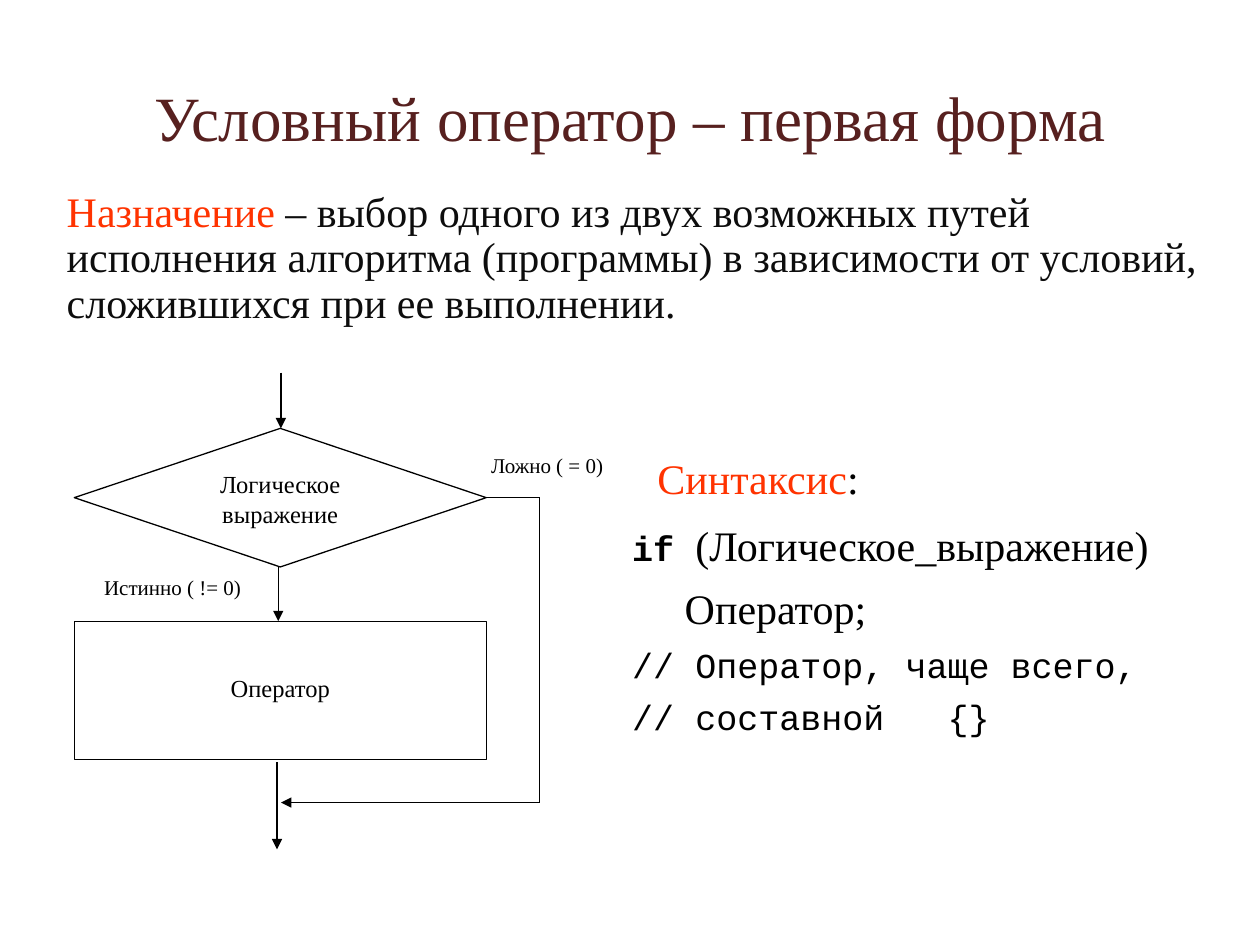
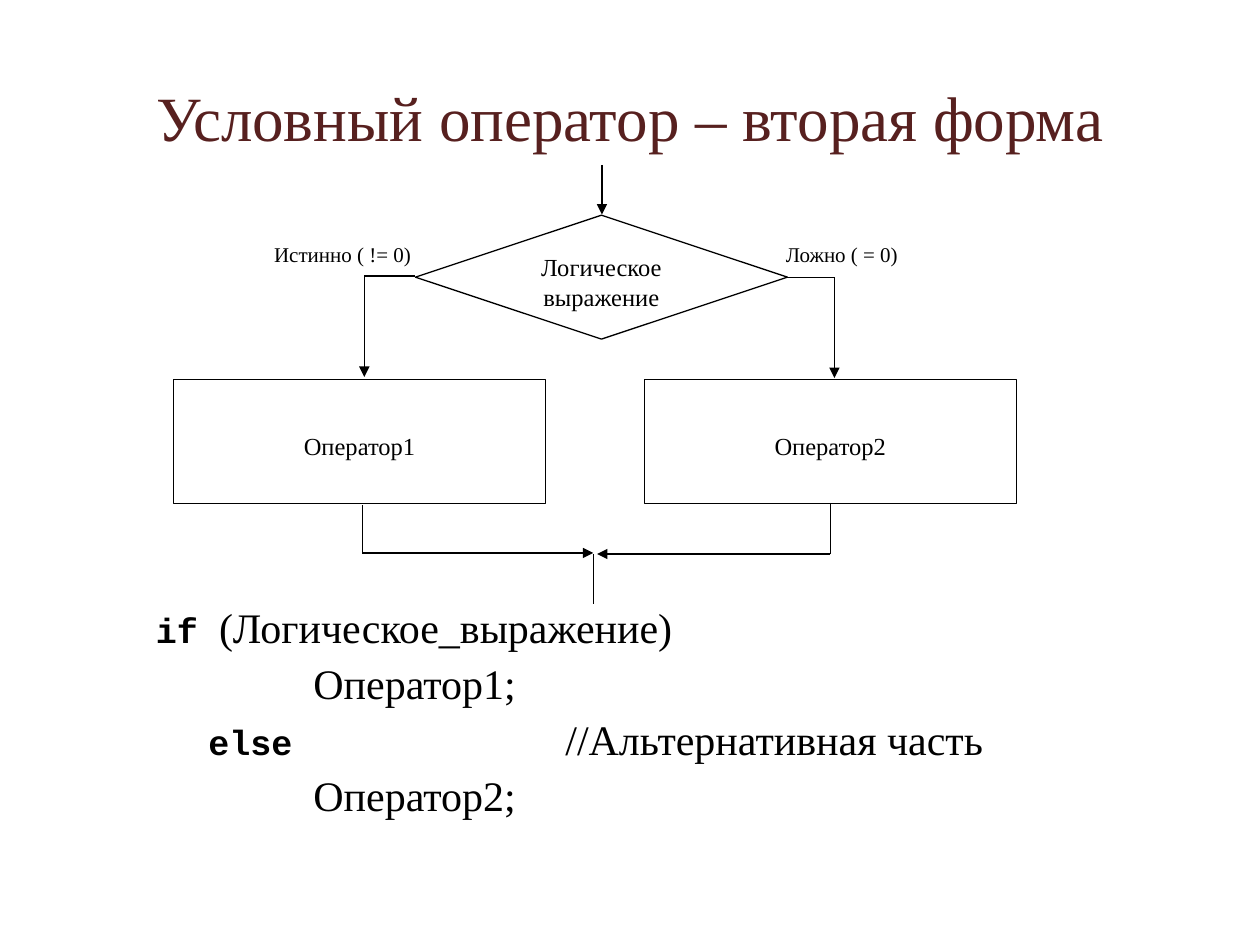
from dataclasses import dataclass

import pptx
import pptx.dml.color
import pptx.enum.shapes
import pptx.enum.text
import pptx.oxml.ns
import pptx.util
from lxml import etree

Pt = pptx.util.Pt
Kind = pptx.enum.shapes.MSO_SHAPE
Side = pptx.enum.text.PP_ALIGN
qn = pptx.oxml.ns.qn

SERIF, MONO = "Times New Roman", "Courier New"
BLACK, WHITE, RED, BROWN, GREY = "000000", "FFFFFF", "FF3300", "57201F", "0D0D0D"


@dataclass
class Run:
    text: str
    size: float = 24
    face: str = SERIF
    color: str = BLACK
    bold: bool = False


@dataclass
class Line:
    """One paragraph, with tab stops in points."""
    runs: list[Run]
    tabs: tuple[float, ...] = ()
    before: float = 0


@dataclass
class Box:
    x: float
    y: float
    w: float
    h: float


@dataclass
class Node:
    box: Box
    text: str
    kind: Kind = Kind.FLOWCHART_PROCESS
    top: float = 29.5


@dataclass
class Label:
    box: Box
    text: str
    side: Side = Side.LEFT


@dataclass
class Route:
    """Straight links through the points, the last one with an arrowhead."""
    points: list[tuple[float, float]]
    arrow: bool = True


def rgb(code: str):
    return pptx.dml.color.RGBColor.from_string(code)


def style(font, run: Run) -> None:
    font.size, font.name, font.bold = Pt(run.size), run.face, run.bold
    font.color.rgb = rgb(run.color)


def write(frame, lines: list[Line], space: float = 1, side: Side = Side.LEFT) -> None:
    frame.word_wrap = True
    for i, line in enumerate(lines):
        para = frame.add_paragraph() if i else frame.paragraphs[0]
        para.alignment, para.line_spacing = side, space
        para.space_before = Pt(line.before if i else 0)
        if line.tabs:
            stops = etree.SubElement(para._p.get_or_add_pPr(), qn("a:tabLst"))
            for stop in line.tabs:
                etree.SubElement(stops, qn("a:tab"), pos=str(Pt(stop)), algn="l")
        for run in line.runs:
            part = para.add_run()
            part.text = run.text
            if len(line.runs) > 1:
                style(part.font, run)
        if len(line.runs) == 1:
            style(para.font, line.runs[0])


def place(box: Box) -> list:
    return [Pt(v) for v in (box.x, box.y, box.w, box.h)]


def add_text(slide, box: Box, lines: list[Line], space: float = 1,
             side: Side = Side.LEFT) -> None:
    write(slide.shapes.add_textbox(*place(box)).text_frame, lines, space, side)


def add_node(slide, node: Node) -> None:
    shape = slide.shapes.add_shape(node.kind, *place(node.box))
    shape.shadow.inherit = False
    shape.fill.solid()
    shape.fill.fore_color.rgb = rgb(WHITE)
    shape.line.color.rgb = rgb(BLACK)
    shape.line.width = Pt(0.75)
    frame = shape.text_frame
    frame.vertical_anchor = pptx.enum.text.MSO_ANCHOR.TOP
    frame.margin_top = Pt(node.top)
    write(frame, [Line([Run(node.text, 14)])], side=Side.CENTER)


def add_route(slide, route: Route) -> None:
    for start, end in zip(route.points, route.points[1:]):
        link = slide.shapes.add_connector(
            pptx.enum.shapes.MSO_CONNECTOR.STRAIGHT, *[Pt(v) for v in start + end])
        link.line.color.rgb = rgb(BLACK)
        link.line.width = Pt(0.75)
        props = link._element.spPr
        if route.arrow and end == route.points[-1]:
            etree.SubElement(props.find(qn("a:ln")), qn("a:tailEnd"), type="triangle")
        etree.SubElement(props, qn("a:effectLst"))


def add_chart(slide, nodes: list[Node], routes: list[Route], labels: list[Label]) -> None:
    """Draw a flow chart."""
    for node in nodes:
        add_node(slide, node)
    for route in routes:
        add_route(slide, route)
    for label in labels:
        add_text(slide, label.box, [Line([Run(label.text, 12)])], side=label.side)


def add_slide(deck, title: str):
    slide = deck.slides.add_slide(deck.slide_layouts[5])
    head = slide.shapes.title
    head.left, head.top, head.width, head.height = place(Box(36, 21.6, 648, 90))
    head.text_frame.vertical_anchor = pptx.enum.text.MSO_ANCHOR.MIDDLE
    write(head.text_frame, [Line([Run(title, 36, color=BROWN)])], side=Side.CENTER)
    return slide


def test(box: Box) -> Node:
    return Node(box, "Логическое выражение", Kind.FLOWCHART_DECISION, 3.6)


TRUE, FALSE = "Истинно ( != 0)", "Ложно ( = 0)"
IF = [Run("if ", 20, MONO, bold=True), Run("(Логическое_выражение)")]


def first_form(deck) -> None:
    slide = add_slide(deck, "Условный оператор – первая форма")
    add_text(slide, Box(31, 105.8, 663, 85), [Line([
        Run("Назначение", color=RED),
        Run(" – выбор одного из двух возможных путей исполнения алгоритма "
            "(программы) в зависимости от условий, сложившихся при ее "
            "выполнении.", color=GREY)])], 0.9)
    add_chart(
        slide,
        [test(Box(42.5, 244.8, 235.4, 79.2)),
         Node(Box(42.5, 355, 235.4, 79.2), "Оператор")],
        [Route([(160.5, 213), (160.5, 244.8)]),
         Route([(159, 323.5), (159, 355)]),
         Route([(158.3, 435.6), (158.3, 485.3)]),
         Route([(278, 284.2), (308.3, 284.2), (308.3, 458.6), (160.6, 458.6)])],
        [Label(Box(46.8, 324.7, 103.7, 22.3), TRUE, Side.CENTER),
         Label(Box(273.6, 254.9, 103.7, 22.3), FALSE)])
    add_text(slide, Box(354.2, 247.7, 346.3, 238.3), [
        Line([Run("\tСинтаксис", color=RED), Run(":")], (14.4,)),
        Line(IF, before=2.5),
        Line([Run("\tОператор;")], (30,)),
        Line([Run("// Оператор, чаще всего,", 20, MONO)]),
        Line([Run("// составной   {}", 20, MONO)])], 1.25)


def second_form(deck) -> None:
    slide = add_slide(deck, "Условный оператор – вторая форма")
    add_text(slide, Box(82, 343.4, 561.6, 164.2), [
        Line(IF),
        Line([Run("\tОператор1;")], (90,), 6),
        Line([Run("\telse", 20, MONO, bold=True),
              Run("\t//Альтернативная часть")], (30, 234), 6),
        Line([Run("\tОператор2;")], (90,), 6)], 0.9)
    wide, high = 212.6, 70.8
    add_chart(
        slide,
        [test(Box(237.4, 123, wide, high)),
         Node(Box(99.2, 216.8, wide, high), "Оператор1"),
         Node(Box(368.2, 216.8, wide, high), "Оператор2")],
        [Route([(344, 94.3), (344, 122.6)]),
         Route([(237.4, 157.8), (208.2, 157.8), (208.2, 215.4)]),
         Route([(449.6, 158.4), (476.8, 158.4), (476.8, 216)]),
         Route([(207, 288.8), (207, 316), (339, 316)]),
         Route([(474.5, 287.4), (474.5, 316.6), (341.2, 316.6)]),
         Route([(339, 316.8), (339, 345)], arrow=False)],
        [Label(Box(148, 134.6, 94, 20.2), TRUE, Side.RIGHT),
         Label(Box(442, 134.6, 94, 20.2), FALSE)])


def main() -> None:
    deck = pptx.Presentation()
    deck.slide_width, deck.slide_height = Pt(720), Pt(540)
    first_form(deck)
    second_form(deck)
    deck.save("out.pptx")


if __name__ == "__main__":
    main()
